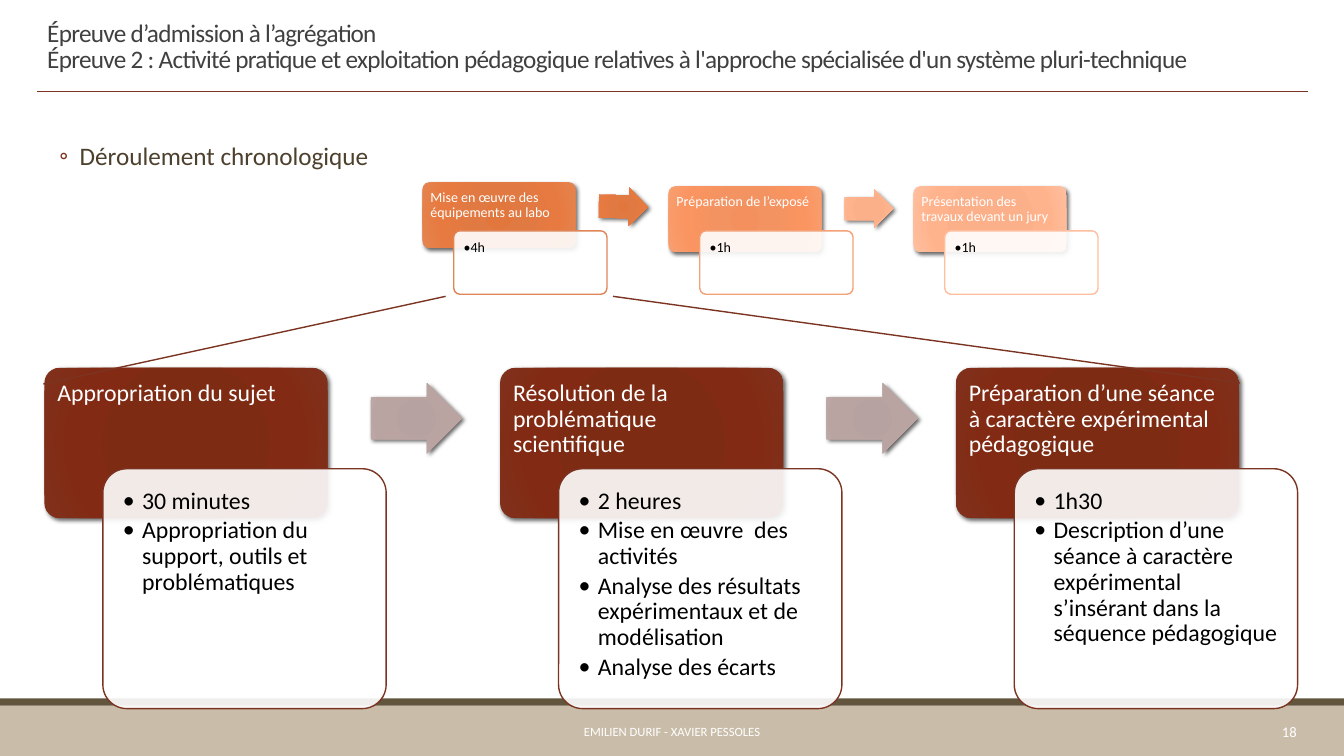
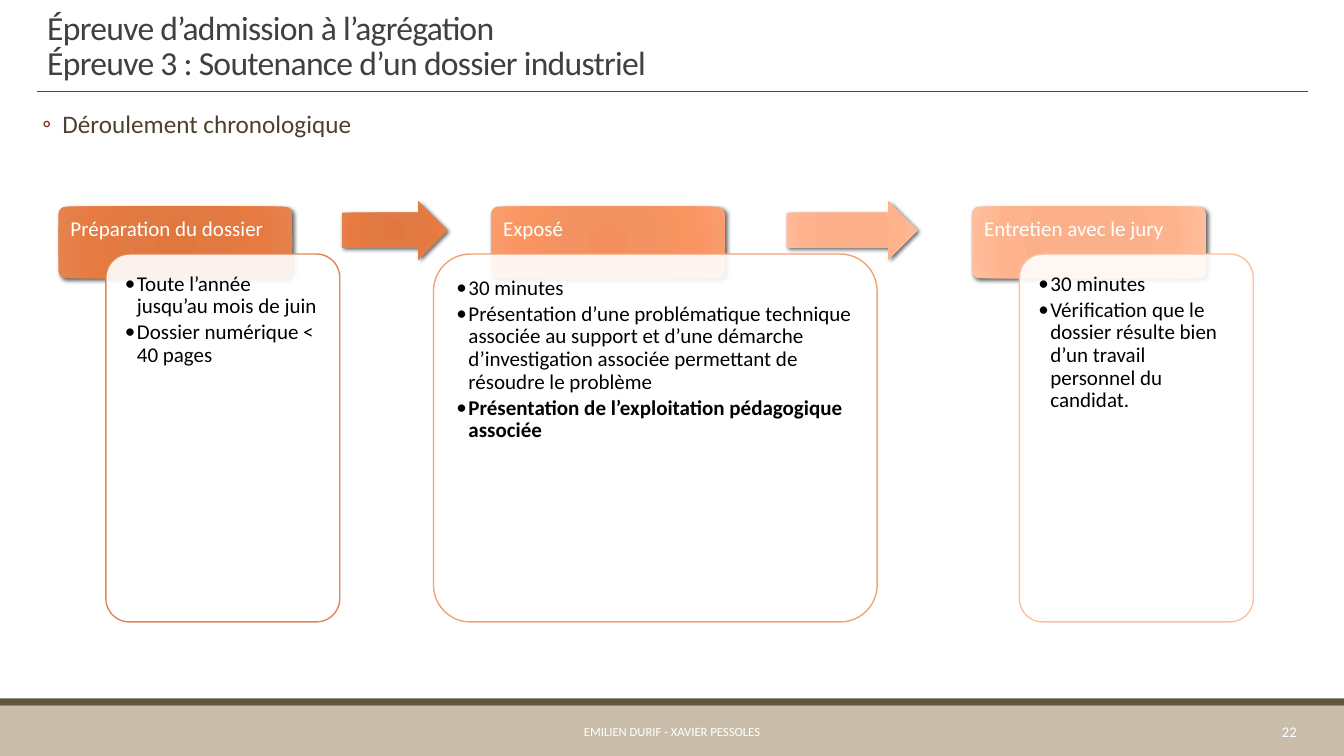
from dataclasses import dataclass
from math import atan2, degrees

from lxml.etree import SubElement
from pptx import Presentation
from pptx.dml.color import RGBColor as Rgb
from pptx.enum.shapes import MSO_CONNECTOR as Line, MSO_SHAPE as Kind
from pptx.enum.text import MSO_ANCHOR as Anchor, PP_ALIGN as Align
from pptx.oxml import parse_xml
from pptx.oxml.ns import nsdecls, qn
from pptx.util import Inches, Pt

HUES = {
    "band": "C9BDA9", "edge": "62553E", "rust": "7B3421", "white": "FFFFFF",
    "black": "000000", "title": "404040", "body": "4D402D",
    "deep": "DE8657", "mid": "F3A177", "pale": "FFBF9F",
}
BLENDS = {
    "deep": ("E2773E", "E17942", "E77A40", "E58450"),
    "mid": ("F4905D", "F39361", "FA9460", "F99F70"),
    "pale": ("FBAD87", "FBB08A", "FFB38C", "FFBF9F"),
    "rust": ("7F2912", "7E2B14", "822A13", "80311C"),
    "mauve": ("B4A09E", "B6A2A0", "B9A4A2", "C0ADAB"),
}
STOPS = (0, 34, 70, 100)
FONT = "Calibri"
LEAD = "Épreuve d’admission à l’agrégation"


@dataclass
class Step:
    """One stage of a flow: its head, its card and how it is drawn."""
    x: float
    tone: str
    head: str
    items: tuple
    wide: float = 0
    lift: float = 0
    bold: str = ""


def hue(name):
    """Return the colour of that name."""
    return Rgb.from_string(HUES[name])


def put(thing, values):
    """Set each attribute in the dict of values."""
    for name, value in values.items():
        setattr(thing, name, value)


def write(shape, lines, size, tone, pads=(0.1, 0.05, 0.1, 0.05), anchor=Anchor.TOP,
          bold="", track=0, mark=None, **look):
    """Fill a shape with formatted paragraphs, bulleted when a mark is given."""
    frame = shape.text_frame
    sides = ("margin_left", "margin_top", "margin_right", "margin_bottom")
    put(frame, {"word_wrap": True, "vertical_anchor": anchor,
                **{side: Inches(pad) for side, pad in zip(sides, pads)}})
    for i, line in enumerate(lines):
        para = frame.add_paragraph() if i else frame.paragraphs[0]
        para.text = line
        put(para, {"alignment": Align.LEFT, **look})
        for run in para.runs:
            put(run.font, {"size": Pt(size), "name": FONT, "bold": line == bold})
            run.font.color.rgb = hue(tone)
            if track:
                run.font._element.set("spc", str(track))
        if mark:
            sign, left, hang, shade = mark
            props = para._p.get_or_add_pPr()
            props.set("marL", str(Inches(left)))
            props.set("indent", str(-Inches(hang)))
            paint = SubElement(props, qn("a:buClr"))
            SubElement(paint, qn("a:srgbClr"), val=HUES[shade])
            SubElement(props, qn("a:buFont"), typeface=FONT)
            SubElement(props, qn("a:buChar"), char=sign)


def text(slide, box, lines, size, tone, **look):
    """Add a text box."""
    shape = slide.shapes.add_textbox(*map(Inches, box))
    write(shape, lines, size, tone, **look)


def block(slide, kind, box, tone=None):
    """Add a preset shape without line or shadow."""
    shape = slide.shapes.add_shape(kind, *map(Inches, box))
    shape.shadow.inherit = False
    shape.line.fill.background()
    if tone:
        shape.fill.solid()
        shape.fill.fore_color.rgb = hue(tone)
    return shape


def rule(slide, start, end, width):
    """Draw a straight rust line."""
    line = slide.shapes.add_connector(Line.STRAIGHT, *map(Inches, start + end))
    line.line.color.rgb = hue("rust")
    line.line.width = Pt(width)
    SubElement(line._element.spPr, qn("a:effectLst"))


def gloss(slide, kind, box, blend):
    """Add a shape with a radial blend and a soft shadow."""
    shape = block(slide, kind, box)
    shape.adjustments[0] = 0.6 if kind == Kind.RIGHT_ARROW else 0.1
    stops = "".join(
        f'<a:gs pos="{pos * 1000}"><a:srgbClr val="{tint}"/></a:gs>'
        for pos, tint in zip(STOPS, BLENDS[blend]))
    props = shape._element.spPr
    props.find(qn("a:prstGeom")).addnext(parse_xml(
        f'<a:gradFill {nsdecls("a")} rotWithShape="1"><a:gsLst>{stops}</a:gsLst>'
        '<a:path path="circle"><a:fillToRect l="100000" t="100000" r="100000" '
        'b="100000"/></a:path></a:gradFill>'))
    props.find(qn("a:effectLst")).append(parse_xml(
        f'<a:outerShdw {nsdecls("a")} blurRad="{Pt(3)}" dist="{Pt(2)}" dir="2700000" '
        'algn="tl" rotWithShape="0"><a:srgbClr val="000000"><a:alpha val="60000"/>'
        '</a:srgbClr></a:outerShdw>'))
    return shape


def card(slide, box, step, size, pad, hang):
    """Add the translucent card that lists the items of a step."""
    shape = block(slide, Kind.ROUNDED_RECTANGLE, box, "white")
    shape.adjustments[0] = 0.1
    tint = shape._element.spPr.find(qn("a:solidFill"))[0]
    SubElement(tint, qn("a:alpha"), val="90000")
    shape.line.color.rgb = hue(step.tone)
    shape.line.width = Pt(1)
    write(shape, step.items, size, "black", (pad,) * 4, bold=step.bold,
          mark=("•", hang, hang, "black"), line_spacing=0.9, space_after=Pt(size * 0.16))


def flow(slide, spot, steps, arrows, head, body, shift, tall, size, pad, hang):
    """Lay out steps and the arrows between them from the top left spot."""
    left, top = spot
    wide, high = head
    over, drop = shift
    for i, step in enumerate(steps):
        x, y = left + step.x, top - step.lift
        shape = gloss(slide, Kind.ROUNDED_RECTANGLE, (x, y, wide, high), step.tone)
        inset = pad - 0.03 * high
        write(shape, [step.head], size, "white", (inset, inset, inset, 0), line_spacing=0.9)
        span = step.wide or wide
        card(slide, (x + over + (wide - span) / 2, top + drop, span, body),
             step, size, pad, hang)
        if i < len(arrows):
            gap = steps[i + 1].x - step.x - wide
            mid = (y + top + drop) / 2
            arrow = gloss(slide, Kind.RIGHT_ARROW,
                          (x + wide + gap / 4, mid - tall / 2, gap * 0.53, tall), arrows[i])
            arrow.rotation = degrees(atan2(step.lift, steps[i + 1].x - step.x))


def frame(deck, title, size, page, spot):
    """Add a slide with its title, bands, footer and lead bullet."""
    slide = deck.slides.add_slide(deck.slide_layouts[6])
    block(slide, Kind.RECTANGLE, (0, 7, 13.33, 0.5), "band")
    block(slide, Kind.RECTANGLE, (0, 6.93, 13.33, 0.07), "edge")
    rule(slide, (0.37, 0.91), (12.97, 0.91), 0.5)
    text(slide, (0.37, 0.04, 12.59, 0.87), [f"{LEAD}\v{title}"], size, "title",
         anchor=Anchor.MIDDLE, track=-50, line_spacing=0.85)
    text(slide, (*spot, 12.44, 0.5), ["Déroulement chronologique"], 18, "body",
         pads=(0, 0.05, 0, 0.05), mark=("◦", 0.42, 0.2, "rust"),
         line_spacing=0.9, space_before=Pt(2), space_after=Pt(4))
    text(slide, (2.73, 7.06, 7.87, 0.4), ["EMILIEN DURIF - XAVIER PESSOLES"], 9, "white",
         anchor=Anchor.MIDDLE, alignment=Align.CENTER)
    text(slide, (11.39, 7.06, 1.57, 0.4), [page], 10.5, "white",
         anchor=Anchor.MIDDLE, alignment=Align.RIGHT)
    return slide


def lab(deck):
    """Build the slide on the practical test."""
    slide = frame(deck, "Épreuve 2 : Activité pratique et exploitation pédagogique relatives "
                  "à l'approche spécialisée d'un système pluri-technique", 18, "18", (0.37, 1.38))
    stages = [
        Step(0, "deep", "Mise en œuvre des équipements au labo", ("4h",), lift=0.04),
        Step(2.44, "mid", "Préparation de l’exposé", ("1h",)),
        Step(4.87, "pale", "Présentation des travaux devant un jury", ("1h",)),
    ]
    flow(slide, (4.19, 1.85), stages, ("deep", "pale"), head=(1.52, 0.65), body=0.63,
         shift=(0.31, 0.44), tall=0.38, size=10, pad=0.08, hang=0.06)
    parts = [
        ("Appropriation du sujet",
         ("30 minutes", "Appropriation du support, outils et problématiques")),
        ("Résolution de la problématique scientifique",
         ("2 heures", "Mise en œuvre  des activités",
          "Analyse des résultats expérimentaux et de modélisation", "Analyse des écarts")),
        ("Préparation d’une séance à caractère expérimental pédagogique",
         ("1h30", "Description d’une séance à caractère expérimental s’insérant "
                  "dans la séquence pédagogique")),
    ]
    steps = [Step(4.52 * i, "rust", *part) for i, part in enumerate(parts)]
    flow(slide, (0.44, 3.65), steps, ("mauve", "mauve"), head=(2.81, 1.49), body=2.38,
         shift=(0.58, 1), tall=0.7, size=17, pad=0.13, hang=0.19)
    rule(slide, (4.42, 2.94), (0.43, 3.81), 1)
    rule(slide, (6.08, 2.94), (12.3, 3.8), 1)


def talk(deck):
    """Build the slide on the defence of the industrial file."""
    slide = frame(deck, "Épreuve 3 : Soutenance d’un dossier industriel", 24, "22", (0.2, 1.06))
    strong = "Présentation de l’exploitation pédagogique associée"
    steps = [
        Step(0, "deep", "Préparation du dossier",
             ("Toute l’année jusqu’au mois de juin", "Dossier numérique < 40 pages")),
        Step(4.29, "mid", "Exposé",
             ("30 minutes", "Présentation d’une problématique technique associée au support "
              "et d’une démarche d’investigation associée permettant de résoudre le problème",
              strong), wide=4.4, bold=strong),
        Step(9.06, "pale", "Entretien avec le jury",
             ("30 minutes",
              "Vérification que le dossier résulte bien d’un travail personnel du candidat.")),
    ]
    flow(slide, (0.58, 2.05), steps, ("deep", "pale"), head=(2.32, 0.71), body=3.65,
         shift=(0.47, 0.47), tall=0.58, size=15, pad=0.12, hang=0.12)


def main():
    """Build and save the deck."""
    deck = Presentation()
    put(deck, {"slide_width": Inches(13.33), "slide_height": Inches(7.5)})
    lab(deck)
    talk(deck)
    deck.save("out.pptx")


if __name__ == "__main__":
    main()
